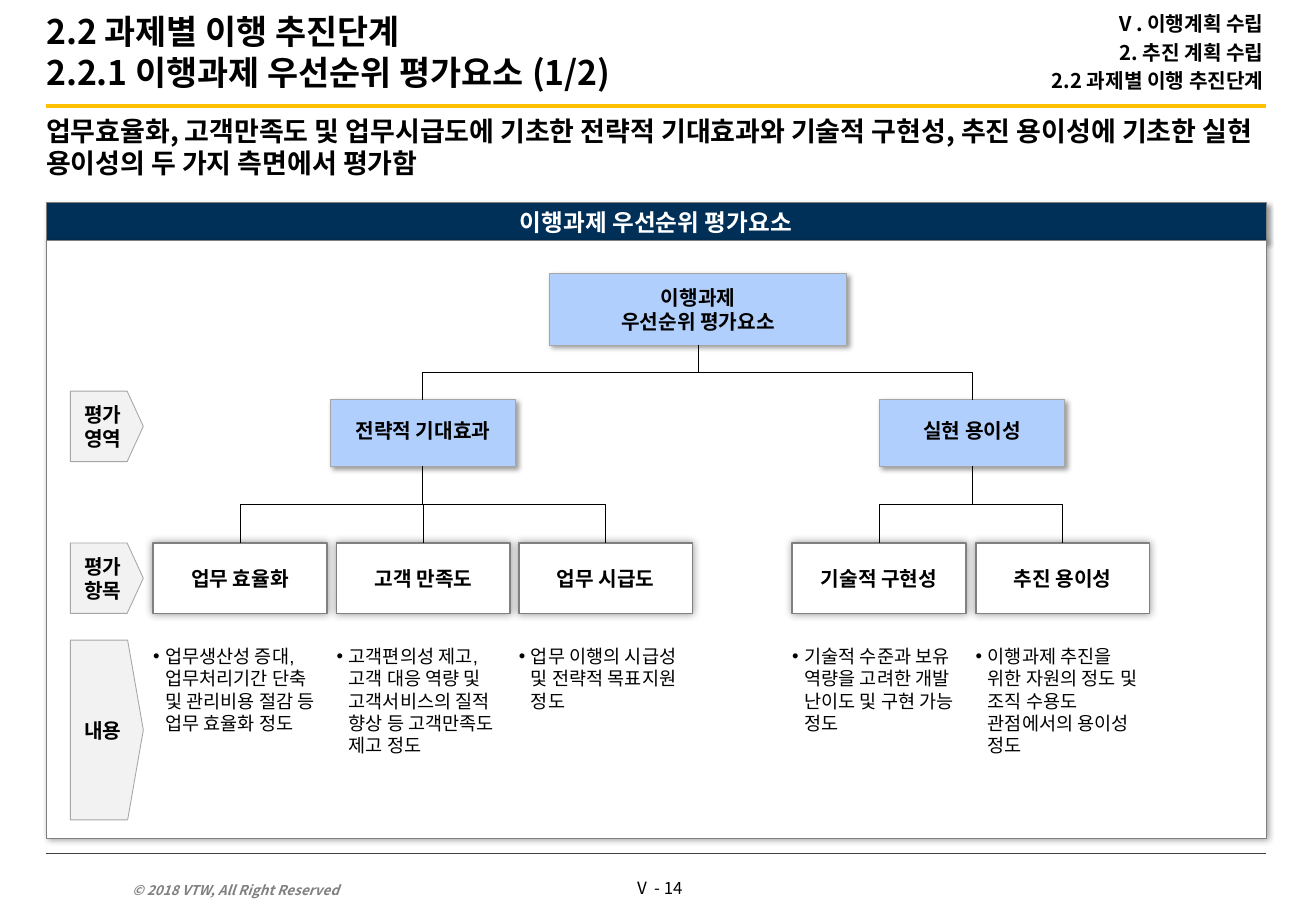
from lxml.etree import SubElement
from pptx import Presentation
from pptx.dml.color import RGBColor
from pptx.enum.shapes import MSO_CONNECTOR, MSO_SHAPE
from pptx.enum.text import MSO_ANCHOR, PP_ALIGN
from pptx.oxml.ns import qn
from pptx.util import Emu, Pt

PX = 9144  # 100 px to the inch
KOREAN = "Noto Sans CJK KR"
LATIN = "Arial"
BLACK, WHITE, GRAY = "000000", "FFFFFF", "808080"
NAVY, SKY, PALE, SILVER, GOLD = "003058", "B1CFFC", "F2F2F2", "A6A6A6", "FFC000"
DROP_SHADOW = (3, 2, 45)
GLOW_SHADOW = (5, 0, 0)

ITEM_WIDTH, ITEM_TOP, ITEM_HEIGHT = 143, 447, 58
DETAIL_TOP, DETAIL_HEIGHT = 527, 148
AREAS = [
    ("전략적 기대효과", 272, [
        ("업무 효율화", 126, "업무생산성 증대, 업무처리기간 단축 및 관리비용 절감 등 업무 효율화 정도"),
        ("고객 만족도", 277, "고객편의성 제고, 고객 대응 역량 및 고객서비스의 질적 향상 등 고객만족도 제고 정도"),
        ("업무 시급도", 427, "업무 이행의 시급성 및 전략적 목표지원 정도"),
    ]),
    ("실현 용이성", 724, [
        ("기술적 구현성", 652, "기술적 수준과 보유 역량을 고려한 개발 난이도 및 구현 가능 정도"),
        ("추진 용이성", 803, "이행과제 추진을 위한 자원의 정도 및 조직 수용도 관점에서의 용이성 정도"),
    ]),
]
ROW_LABELS = [
    (["평가", "영역"], 322, 58, 0.23),
    (["평가", "항목"], ITEM_TOP, ITEM_HEIGHT, 0.23),
    (["내용"], DETAIL_TOP, DETAIL_HEIGHT, 0.215),
]


def px(value):
    return Emu(round(value * PX))


def color(value):
    return RGBColor.from_string(value)


def add_bullet(paragraph):
    properties = paragraph._p.get_or_add_pPr()
    properties.set("marL", str(px(10)))
    properties.set("indent", str(px(-10)))
    bullet_color = SubElement(properties, qn("a:buClr"))
    SubElement(bullet_color, qn("a:srgbClr"), val=BLACK)
    SubElement(properties, qn("a:buFont"), typeface=LATIN)
    SubElement(properties, qn("a:buChar"), char="•")


def write(shape, paragraphs, size, font=KOREAN, ink=BLACK, bold=True, italic=False,
          align=PP_ALIGN.CENTER, anchor=MSO_ANCHOR.MIDDLE, margins=(0, 5, 0, 5),
          wrap=True, space=0, line_spacing=None, bullet=False):
    """Fill a shape with paragraphs; a newline inside one is a line break."""
    frame = shape.text_frame
    frame.word_wrap = wrap
    frame.vertical_anchor = anchor
    (frame.margin_left, frame.margin_top,
     frame.margin_right, frame.margin_bottom) = map(px, margins)
    for index, text in enumerate(paragraphs):
        paragraph = frame.add_paragraph() if index else frame.paragraphs[0]
        if bullet:
            add_bullet(paragraph)
        paragraph.alignment = align
        if index and space:
            paragraph.space_before = Pt(space)
        if line_spacing:
            paragraph.line_spacing = line_spacing
        for number, line in enumerate(text.split("\n")):
            if number:
                paragraph.add_line_break()
            run = paragraph.add_run()
            run.text = line
            run.font.size = Pt(size)
            run.font.name = font
            run.font.bold = bold
            run.font.italic = italic
            run.font.color.rgb = color(ink)
            SubElement(run._r.get_or_add_rPr(), qn("a:ea"), typeface=KOREAN)


def add_text(slide, box, paragraphs, size, **style):
    write(slide.shapes.add_textbox(*map(px, box)), paragraphs, size, **style)


def add_shadow(shape, blur, distance, angle):
    shape.shadow.inherit = False
    effects = shape._element.spPr.find(qn("a:effectLst"))
    shadow = SubElement(effects, qn("a:outerShdw"), blurRad=str(Pt(blur)),
                        dist=str(Pt(distance)), dir=str(angle * 60000),
                        algn="ctr", rotWithShape="0")
    shade = SubElement(shadow, qn("a:srgbClr"), val=BLACK)
    SubElement(shade, qn("a:alpha"), val="40000")


def add_box(slide, box, fill, line, width=0.5, shadow=None, kind=MSO_SHAPE.RECTANGLE):
    shape = slide.shapes.add_shape(kind, *map(px, box))
    shape.fill.solid()
    shape.fill.fore_color.rgb = color(fill)
    shape.line.color.rgb = color(line)
    shape.line.width = Pt(width)
    if shadow:
        add_shadow(shape, *shadow)
    else:
        shape.shadow.inherit = False
    return shape


def style_line(connector, ink, width):
    connector.line.color.rgb = color(ink)
    connector.line.width = Pt(width)
    SubElement(connector._element.spPr, qn("a:effectLst"))


def add_rule(slide, y, ink, width):
    rule = slide.shapes.add_connector(MSO_CONNECTOR.STRAIGHT, px(38), px(y), px(1042), px(y))
    style_line(rule, ink, width)


def add_branch(slide, parent, child):
    """Join the bottom of parent to the top of child with a turned elbow."""
    start_x, start_y = parent.left + parent.width // 2, parent.top + parent.height
    end_x, end_y = child.left + child.width // 2, child.top
    branch = slide.shapes.add_connector(MSO_CONNECTOR.ELBOW, start_x, start_y, end_x, end_y)
    branch.begin_connect(parent, 2)
    branch.end_connect(child, 0)
    branch.width, branch.height = end_y - start_y, abs(end_x - start_x)
    branch.left = (start_x + end_x - branch.width) // 2
    branch.top = (start_y + end_y - branch.height) // 2
    rightward = end_x > start_x
    transform = branch._element.spPr.xfrm
    transform.flipH, transform.flipV = rightward, False
    transform.rot = 270 if rightward else 90
    style_line(branch, BLACK, 0.5)


def add_header_and_footer(slide):
    add_rule(slide, 87, GOLD, 2.5)
    add_rule(slide, 703, "404040", 0.5)
    add_text(slide, (99, 717, 237, 27), ["© 2018 VTW, All Right Reserved"], 8, ink=GRAY,
             italic=True, align=PP_ALIGN.LEFT, anchor=MSO_ANCHOR.BOTTOM,
             margins=(10, 5, 10, 5))
    add_text(slide, (512, 718, 59, 27), ["Ⅴ - 14"], 10, bold=False, wrap=False,
             anchor=MSO_ANCHOR.TOP, margins=(6, 5, 6, 5))
    add_text(slide, (38, 0, 787, 85),
             ["2.2 과제별 이행 추진단계\n2.2.1 이행과제 우선순위 평가요소 (1/2)"], 20,
             align=PP_ALIGN.LEFT, margins=(0, 5, 10, 5))
    add_text(slide, (494, 0, 546, 86),
             ["Ⅴ. 이행계획 수립", "2. 추진 계획 수립", "2.2 과제별 이행 추진단계"], 12,
             align=PP_ALIGN.RIGHT, space=2.4)
    add_text(slide, (38, 94, 1004, 68),
             ["업무효율화, 고객만족도 및 업무시급도에 기초한 전략적 기대효과와 기술적 구현성, "
              "추진 용이성에 기초한 실현 용이성의 두 가지 측면에서 평가함"], 16,
             align=PP_ALIGN.LEFT, anchor=MSO_ANCHOR.TOP, margins=(0, 0, 0, 0))


def add_panel(slide):
    heading = add_box(slide, (38, 167, 1004, 31), NAVY, GRAY, shadow=DROP_SHADOW)
    write(heading, ["이행과제 우선순위 평가요소"], 14, ink=WHITE)
    add_box(slide, (38, 198, 1004, 492), WHITE, GRAY, shadow=DROP_SHADOW)


def add_row_labels(slide):
    for lines, top, height, point in ROW_LABELS:
        label = add_box(slide, (58, top, 60, height), PALE, SILVER, kind=MSO_SHAPE.PENTAGON)
        label.adjustments[0] = point
        write(label, lines, 12)


def add_tree(slide):
    root = add_box(slide, (452, 225, 245, 59), SKY, SILVER, shadow=DROP_SHADOW)
    write(root, ["이행과제\n우선순위 평가요소"], 12, font=LATIN, wrap=False)
    for area_name, area_left, items in AREAS:
        area = add_box(slide, (area_left, 329, 152, 55), SKY, SILVER, shadow=DROP_SHADOW)
        write(area, [area_name], 12, font=LATIN, line_spacing=0.8)
        add_branch(slide, root, area)
        for item_name, left, detail in items:
            item = add_box(slide, (left, ITEM_TOP, ITEM_WIDTH, ITEM_HEIGHT), WHITE, GRAY,
                           width=1, shadow=GLOW_SHADOW)
            write(item, [item_name], 12, font=LATIN, margins=(0, 4, 0, 4))
            add_branch(slide, area, item)
            add_text(slide, (left, DETAIL_TOP, ITEM_WIDTH, DETAIL_HEIGHT), [detail], 11,
                     font=LATIN, bold=False, align=PP_ALIGN.LEFT, anchor=MSO_ANCHOR.TOP,
                     margins=(0, 4, 0, 4), bullet=True)


def main():
    presentation = Presentation()
    presentation.slide_width, presentation.slide_height = px(1083), px(750)
    slide = presentation.slides.add_slide(presentation.slide_layouts[6])
    add_header_and_footer(slide)
    add_panel(slide)
    add_row_labels(slide)
    add_tree(slide)
    presentation.save("out.pptx")


if __name__ == "__main__":
    main()
